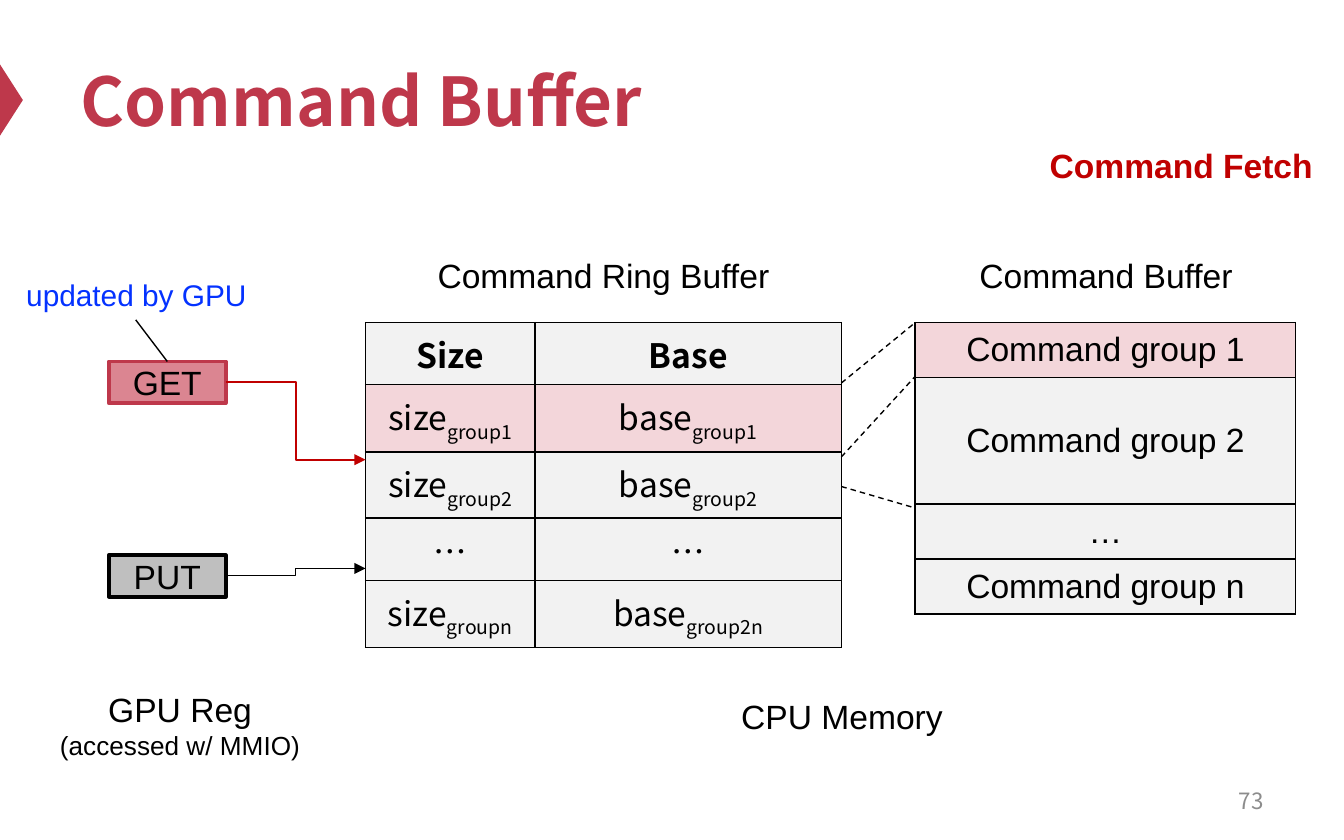
from dataclasses import dataclass

from lxml.etree import SubElement
from pptx import Presentation
from pptx.dml.color import RGBColor
from pptx.enum.dml import MSO_LINE
from pptx.enum.shapes import MSO_CONNECTOR as Link, MSO_SHAPE as Shape
from pptx.enum.text import MSO_ANCHOR as Anchor, MSO_AUTO_SIZE as AutoSize, PP_ALIGN as Align
from pptx.oxml import parse_xml
from pptx.oxml.ns import nsdecls, qn
from pptx.util import Inches, Pt


@dataclass(frozen=True)
class Theme:
    heading_font: str = "Noto Sans CJK SC"
    label_font: str = "Arial"
    accent: str = "BE384B"
    accent_mid: str = "DB8591"
    accent_pale: str = "F3D6DA"
    red: str = "C00000"
    blue: str = "0432FF"
    black: str = "000000"
    gray: str = "BFBFBF"
    pale: str = "F2F2F2"
    muted: str = "8C8C8C"
    title: int = 36
    body: int = 18
    note: int = 16
    small: int = 14
    page: int = 12


THEME = Theme()


def rgb(color):
    return RGBColor.from_string(color)


def style(paragraph, size=THEME.body, color=THEME.black, font=THEME.label_font,
          bold=False, align=Align.CENTER):
    paragraph.alignment = align
    paragraph.font.size = Pt(size)
    paragraph.font.name = font
    paragraph.font.bold = bold
    paragraph.font.color.rgb = rgb(color)


def add_title(slide, text):
    title = slide.shapes.title
    title.left, title.top = Inches(0.5), Inches(0.25)
    title.width, title.height = Inches(9), Inches(0.98)
    frame = title.text_frame
    frame.text = text
    frame.auto_size = AutoSize.NONE
    frame.vertical_anchor = Anchor.MIDDLE
    style(frame.paragraphs[0], THEME.title, THEME.accent, THEME.heading_font, True, Align.LEFT)


def add_label(slide, box, text, anchor=Anchor.TOP, **look):
    frame = slide.shapes.add_textbox(*map(Inches, box)).text_frame
    frame.word_wrap = True
    frame.vertical_anchor = anchor
    frame.text = text
    style(frame.paragraphs[0], **look)
    return frame


def add_marker(slide):
    marker = slide.shapes.add_shape(Shape.ISOSCELES_TRIANGLE,
                                    *map(Inches, (-0.18, 0.66, 0.53, 0.17)))
    marker.rotation = 90
    marker.shadow.inherit = False
    marker.fill.solid()
    marker.fill.fore_color.rgb = rgb(THEME.accent)
    marker.line.fill.background()


def add_register(slide, top, name, fill, outline):
    register = slide.shapes.add_shape(Shape.RECTANGLE, *map(Inches, (0.81, top, 0.87, 0.31)))
    register.shadow.inherit = False
    register.fill.solid()
    register.fill.fore_color.rgb = rgb(fill)
    register.line.color.rgb = rgb(outline)
    register.line.width = Pt(2)
    register.text_frame.vertical_anchor = Anchor.MIDDLE
    register.text_frame.text = name
    style(register.text_frame.paragraphs[0])
    return register


def add_line(slide, start, end, kind=Link.STRAIGHT, color=THEME.black, width=0.75,
             dashed=False, arrow=False):
    line = slide.shapes.add_connector(kind, *map(Inches, (*start, *end)))
    line.line.color.rgb = rgb(color)
    line.line.width = Pt(width)
    if dashed:
        line.line.dash_style = MSO_LINE.DASH
    if arrow:
        SubElement(line.line._get_or_add_ln(), qn("a:tailEnd"), type="triangle")
    SubElement(line._element.spPr, qn("a:effectLst"))
    return line


def add_borders(cell):
    properties = cell._tc.get_or_add_tcPr()
    for position, side in enumerate(("lnL", "lnR", "lnT", "lnB")):
        properties.insert(position, parse_xml(
            f'<a:{side} {nsdecls("a")} w="{Pt(1)}"><a:solidFill>'
            f'<a:srgbClr val="{THEME.black}"/></a:solidFill></a:{side}>'))


def fill_cell(cell, content, fill, font, bold):
    base, _, subscript = content.partition("_")
    cell.vertical_anchor = Anchor.MIDDLE
    cell.fill.solid()
    cell.fill.fore_color.rgb = rgb(fill)
    add_borders(cell)
    paragraph = cell.text_frame.paragraphs[0]
    paragraph.add_run().text = base
    if subscript:
        run = paragraph.add_run()
        run.text = subscript
        run._r.get_or_add_rPr().set("baseline", "-25000")
    style(paragraph, font=font, bold=bold)


def add_grid(slide, left, widths, heights, rows, font, active, header=False):
    box = (left, 2.4, sum(widths), sum(heights))
    grid = slide.shapes.add_table(len(rows), len(widths), *map(Inches, box)).table
    grid.first_row = header
    grid.horz_banding = False
    for column, width in zip(grid.columns, widths):
        column.width = Inches(width)
    for number, (row, height, contents) in enumerate(zip(grid.rows, heights, rows)):
        row.height = Inches(height)
        fill = THEME.accent_pale if number == active else THEME.pale
        for cell, content in zip(row.cells, contents):
            fill_cell(cell, content, fill, font, header and number == 0)


def main():
    deck = Presentation()
    deck.slide_width, deck.slide_height = Inches(10), Inches(6.25)
    slide = deck.slides.add_slide(deck.slide_layouts[5])

    add_marker(slide)
    add_title(slide, "Command Buffer")

    get_register = add_register(slide, 2.69, "GET", THEME.accent_mid, THEME.accent)
    put_register = add_register(slide, 4.13, "PUT", THEME.gray, THEME.black)

    ring_rows = [("Size", "Base"), ("size_group1", "base_group1"),
                 ("size_group2", "base_group2"), ("…", "…"), ("size_groupn", "base_group2n")]
    add_grid(slide, 2.72, (1.26, 2.28), (0.46, 0.5, 0.49, 0.46, 0.5), ring_rows,
             THEME.heading_font, active=1, header=True)
    group_rows = [("Command group 1",), ("Command group 2",), ("…",), ("Command group n",)]
    add_grid(slide, 6.81, (2.83,), (0.41, 0.94, 0.41, 0.41), group_rows,
             THEME.label_font, active=0)

    get_pointer = add_line(slide, (1.68, 2.85), (2.72, 3.42), Link.ELBOW, THEME.red, 1, arrow=True)
    get_pointer.begin_connect(get_register, 3)
    put_pointer = add_line(slide, (1.68, 4.29), (2.72, 4.23), Link.ELBOW, arrow=True)
    put_pointer.begin_connect(put_register, 3)
    callout = add_line(slide, (1.24, 2.69), (1.01, 2.38))
    callout.begin_connect(get_register, 0)
    for ring_y, group_y in ((2.85, 2.4), (3.4, 2.8), (3.62, 3.78)):
        add_line(slide, (6.26, ring_y), (6.81, group_y), dashed=True)

    add_label(slide, (2.72, 1.85, 3.54, 0.4), "Command Ring Buffer")
    add_label(slide, (7.01, 1.85, 2.44, 0.4), "Command Buffer")
    add_label(slide, (2.8, 5.13, 6.93, 0.4), "CPU Memory")
    add_label(slide, (7.52, 1.03, 2.54, 0.4), "Command Fetch", color=THEME.red, bold=True)
    add_label(slide, (0.03, 2.01, 1.97, 0.37), "updated by GPU",
              size=THEME.note, color=THEME.blue)
    register_caption = add_label(slide, (0.12, 5.08, 2.44, 0.64), "GPU Reg")
    access_note = register_caption.add_paragraph()
    access_note.text = "(accessed w/ MMIO)"
    style(access_note, THEME.small)
    add_label(slide, (7.17, 5.79, 2.33, 0.33), "73", Anchor.MIDDLE, size=THEME.page,
              color=THEME.muted, font=THEME.heading_font, align=Align.RIGHT)

    deck.save("out.pptx")


if __name__ == "__main__":
    main()
